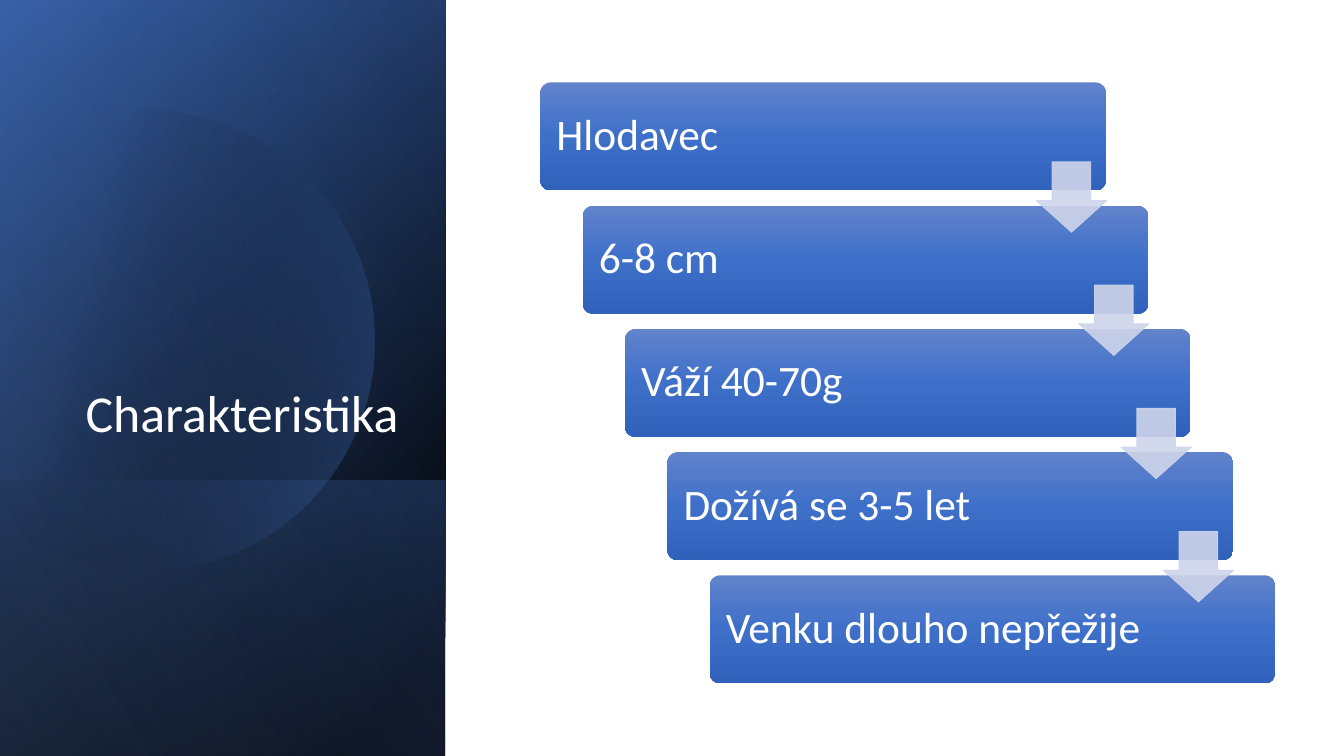
import math
from lxml import etree
from pptx import Presentation
from pptx.enum.shapes import MSO_SHAPE
from pptx.enum.text import MSO_ANCHOR, PP_ALIGN
from pptx.oxml.ns import qn
from pptx.util import Inches, Pt

WIDTH, HEIGHT = 13.33, 7.5
FONT = "Calibri"
WHITE, BLACK, BLUE, ARROW = "FFFFFF", "000000", "4472C4", "CFD5EA"
PANEL_WIDTH = 33.15
FACTS = ["Hlodavec", "6-8 cm", "Váží 40-70g", "Dožívá se 3-5 let", "Venku dlouho nepřežije"]
STEP_GRADIENT = [(0, "6183CB", 100), (50, "3E70CA", 100), (100, "3062BB", 100)]
STEP_X, STEP_Y = 3.15, 16.3


def across(percent):
    return Inches(WIDTH * percent / 100)


def down(percent):
    return Inches(HEIGHT * percent / 100)


def frame(left, top, width, height):
    return across(left), down(top), across(width), down(height)


def add_color(parent, color, alpha):
    node = etree.SubElement(parent, qn("a:srgbClr"), val=color)
    if alpha < 100:
        etree.SubElement(node, qn("a:alpha"), val=str(alpha * 1000))


def paint(fill, stops, angle=None):
    fill.background()
    blank = fill._xPr.find(qn("a:noFill"))
    if angle is None:
        node = etree.Element(qn("a:solidFill"))
        add_color(node, *stops)
    else:
        node = etree.Element(qn("a:gradFill"), rotWithShape="1")
        stop_list = etree.SubElement(node, qn("a:gsLst"))
        for position, color, alpha in stops:
            stop = etree.SubElement(stop_list, qn("a:gs"), pos=str(position * 1000))
            add_color(stop, color, alpha)
        etree.SubElement(node, qn("a:lin"), ang=str(round(angle * 60000)), scaled="0")
    fill._xPr.replace(blank, node)


def gradient_shape(shape, stops, angle):
    shape.shadow.inherit = False
    paint(shape.fill, stops, angle)
    shape.line.fill.background()
    return shape


def add_panel(shapes, top, stops, angle):
    left, top, width, height = frame(0, top, PANEL_WIDTH, 100 - top)
    shift = (width - height) // 2
    panel = shapes.add_shape(MSO_SHAPE.RECTANGLE, left + shift, top - shift, height, width)
    panel.rotation = 90
    panel._element.spPr.find(qn("a:xfrm")).set("flipH", "1")
    gradient_shape(panel, stops, angle)


def add_cut_circle(shapes, center_x, center_y, radius, cut_x, stops, angle):
    x, y, r = across(center_x), down(center_y), across(radius)
    limit = math.acos((across(cut_x) - x) / r)
    angles = [limit * (i / 60 - 1) for i in range(121)]
    points = [(round(x + r * math.cos(a)), round(y + r * math.sin(a))) for a in angles]
    builder = shapes.build_freeform(*points[0])
    builder.add_line_segments(points[1:], close=True)
    gradient_shape(builder.convert_to_shape(), stops, angle)


def write(shape, text, size, anchor, align):
    text_frame = shape.text_frame
    text_frame.word_wrap = True
    text_frame.vertical_anchor = anchor
    paragraph = text_frame.paragraphs[0]
    paragraph.alignment = align
    paragraph.line_spacing = 0.9
    run = paragraph.add_run()
    run.text = text
    run.font.name = FONT
    run.font.size = Pt(size)
    paint(run.font.fill, (WHITE, 100))


def add_step(shapes, index, text):
    place = frame(40.2 + index * STEP_X, 10.9 + index * STEP_Y, 42.1, 14.3)
    step = shapes.add_shape(MSO_SHAPE.ROUNDED_RECTANGLE, *place)
    step.adjustments[0] = 0.1
    gradient_shape(step, STEP_GRADIENT, 90)
    body = step.text_frame
    body.margin_left = body.margin_right = Inches(0.13)
    body.margin_top = body.margin_bottom = Inches(0.13)
    write(step, text, 31, MSO_ANCHOR.MIDDLE, PP_ALIGN.LEFT)


def add_arrow(shapes, index):
    place = frame(77.1 + index * STEP_X, 21.4 + index * STEP_Y, 5.25, 9.33)
    arrow = shapes.add_shape(MSO_SHAPE.DOWN_ARROW, *place)
    arrow.shadow.inherit = False
    arrow.adjustments[0] = 0.55
    arrow.adjustments[1] = 0.45
    paint(arrow.fill, (ARROW, 90))
    paint(arrow.line.fill, (ARROW, 90))
    arrow.line.width = Pt(0.5)


def main():
    presentation = Presentation()
    presentation.slide_width, presentation.slide_height = across(100), down(100)
    slide = presentation.slides.add_slide(presentation.slide_layouts[6])
    shapes = slide.shapes

    add_panel(shapes, 0, [(8, BLACK, 100), (100, "2F5597", 100)], 50)
    add_panel(shapes, 0, [(0, BLACK, 0), (99, BLUE, 46)], 30)
    add_panel(shapes, 63.5, [(2, BLUE, 29), (100, BLACK, 30)], 130)
    add_cut_circle(shapes, 10.65, 45.07, 17.18, -1.13, [(29, BLACK, 0), (100, BLUE, 43)], 13.9)
    add_panel(shapes, 0, [(0, BLACK, 0), (99, "8FAADC", 11)], 120)

    title = shapes.add_textbox(*frame(4.8, 24.5, 25.6, 34.9))
    write(title, "Charakteristika", 37, MSO_ANCHOR.BOTTOM, PP_ALIGN.RIGHT)

    staircase = shapes.add_group_shape().shapes
    for index, fact in enumerate(FACTS):
        add_step(staircase, index, fact)
    for index in range(len(FACTS) - 1):
        add_arrow(staircase, index)

    presentation.save("out.pptx")


main()
